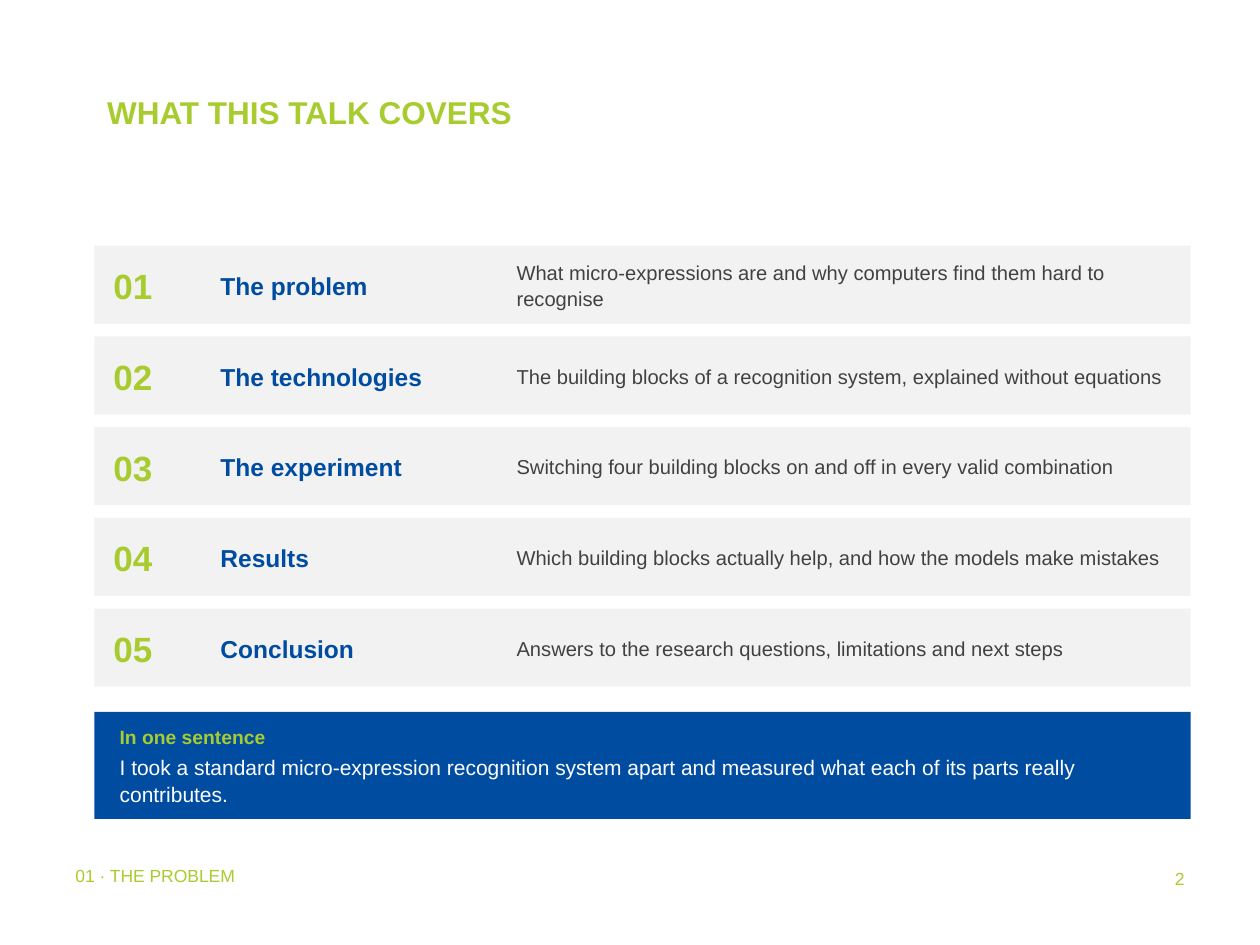
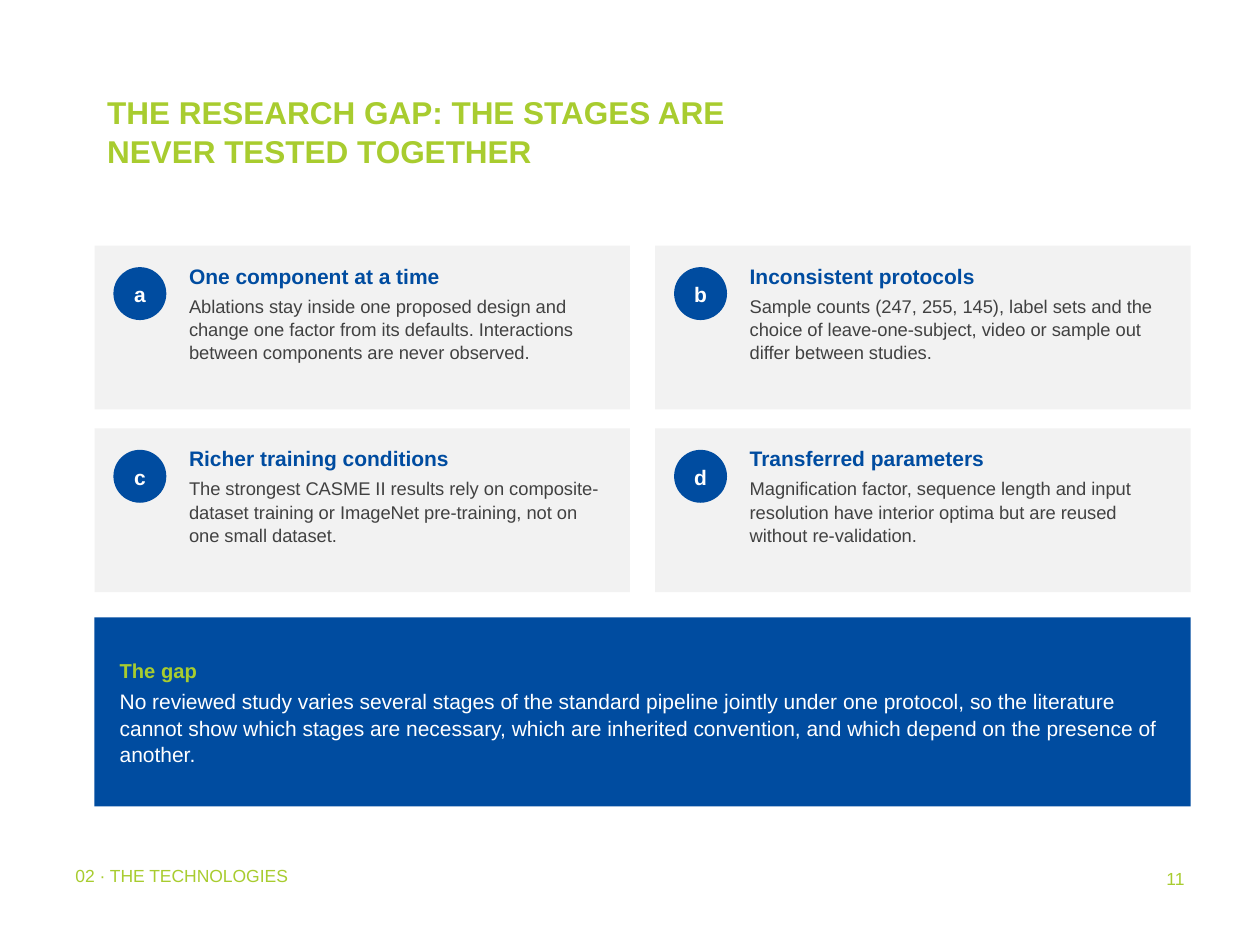
from dataclasses import dataclass

from pptx import Presentation
from pptx.dml.color import RGBColor
from pptx.enum.shapes import MSO_SHAPE as Preset
from pptx.enum.text import MSO_ANCHOR as Anchor, MSO_AUTO_SIZE as AutoSize, PP_ALIGN as Align
from pptx.util import Inches, Pt

COLORS = {
    "green": "A8CC2F",
    "blue": "004CA0",
    "panel": "F2F2F2",
    "body": "414141",
    "white": "FFFFFF",
}
FONT = "Arial"
LINE_SPACING = 1.05
LEFT = 0.75
TOP = 1.95
WIDTH = 8.7


@dataclass(frozen=True)
class Section:
    name: str
    summary: str


@dataclass(frozen=True)
class Card:
    heading: str
    detail: str


@dataclass(frozen=True)
class Callout:
    top: float
    height: float
    label: str
    label_size: float
    message: str


SECTIONS = [
    Section("The problem", "What micro-expressions are and why computers find them hard to recognise"),
    Section("The technologies", "The building blocks of a recognition system, explained without equations"),
    Section("The experiment", "Switching four building blocks on and off in every valid combination"),
    Section("Results", "Which building blocks actually help, and how the models make mistakes"),
    Section("Conclusion", "Answers to the research questions, limitations and next steps"),
]

CARDS = [
    Card(
        "One component at a time",
        "Ablations stay inside one proposed design and change one factor from its defaults. "
        "Interactions between components are never observed.",
    ),
    Card(
        "Inconsistent protocols",
        "Sample counts (247, 255, 145), label sets and the choice of leave-one-subject, "
        "video or sample out differ between studies.",
    ),
    Card(
        "Richer training conditions",
        "The strongest CASME II results rely on composite-dataset training or ImageNet "
        "pre-training, not on one small dataset.",
    ),
    Card(
        "Transferred parameters",
        "Magnification factor, sequence length and input resolution have interior optima "
        "but are reused without re-validation.",
    ),
]

SUMMARY = Callout(
    5.65, 0.85, "In one sentence", 11,
    "I took a standard micro-expression recognition system apart and measured what each "
    "of its parts really contributes.",
)
GAP = Callout(
    4.9, 1.5, "The gap", 11.5,
    "No reviewed study varies several stages of the standard pipeline jointly under one "
    "protocol, so the literature cannot show which stages are necessary, which are "
    "inherited convention, and which depend on the presence of another.",
)


def color(name: str) -> RGBColor:
    return RGBColor.from_string(COLORS[name])


def set_frame(frame, *, inset_x: float, inset_y: float, anchor=Anchor.TOP) -> None:
    frame.auto_size = AutoSize.NONE
    frame.word_wrap = True
    frame.vertical_anchor = anchor
    frame.margin_left = frame.margin_right = Inches(inset_x)
    frame.margin_top = frame.margin_bottom = Inches(inset_y)


def write(para, text: str, *, size: float, fill: str, bold: bool = False,
          align=Align.LEFT, after: float = 0) -> None:
    para.alignment = align
    para.line_spacing = LINE_SPACING
    para.space_before = Pt(0)
    para.space_after = Pt(after)
    span = para.add_run()
    span.text = text
    span.font.name = FONT
    span.font.size = Pt(size)
    span.font.bold = bold
    span.font.color.rgb = color(fill)


def add_box(page, left: float, top: float, width: float, height: float, *,
            inset_x: float = 0.05, inset_y: float = 0.03, anchor=Anchor.TOP):
    box = page.shapes.add_textbox(Inches(left), Inches(top), Inches(width), Inches(height))
    set_frame(box.text_frame, inset_x=inset_x, inset_y=inset_y, anchor=anchor)
    return box.text_frame


def add_filled(page, preset, left: float, top: float, width: float, height: float, fill: str):
    shape = page.shapes.add_shape(preset, Inches(left), Inches(top), Inches(width), Inches(height))
    shape.shadow.inherit = False
    shape.fill.solid()
    shape.fill.fore_color.rgb = color(fill)
    shape.line.fill.background()
    return shape


def add_page(deck, title: str, section: str, number: int):
    page = deck.slides.add_slide(deck.slide_layouts.get_by_name("Title Only"))
    heading = page.shapes.title
    heading.left, heading.top = Inches(LEFT), Inches(0.67)
    heading.width, heading.height = Inches(5.42), Inches(1.25)
    set_frame(heading.text_frame, inset_x=0.1, inset_y=0.05)
    write(heading.text_frame.paragraphs[0], title, size=18, fill="green", bold=True)

    footer = add_box(page, 0.5, 6.83, 5.67, 0.4, inset_x=0.1)
    write(footer.paragraphs[0], section, size=10, fill="green")
    page_number = add_box(page, 7.42, 6.83, 2.08, 0.5, inset_x=0.1, inset_y=0.05)
    write(page_number.paragraphs[0], str(number), size=10, fill="green", align=Align.RIGHT)
    return page


def add_callout(page, callout: Callout) -> None:
    add_filled(page, Preset.RECTANGLE, LEFT, callout.top, WIDTH, callout.height, "blue")
    frame = add_box(page, LEFT + 0.15, callout.top + 0.06, WIDTH - 0.3,
                    callout.height - 0.12, anchor=Anchor.MIDDLE)
    write(frame.paragraphs[0], callout.label, size=callout.label_size,
          fill="green", bold=True, after=3)
    write(frame.add_paragraph(), callout.message, size=12, fill="white", after=3)


def add_section_row(page, index: int, section: Section) -> None:
    height = 0.62
    top = TOP + index * (height + 0.1)
    add_filled(page, Preset.RECTANGLE, LEFT, top, WIDTH, height, "panel")
    columns = [
        (0.85, 0.8, f"{index + 1:02d}", 20, "green", True),
        (1.7, 2.3, section.name, 14, "blue", True),
        (4.05, 5.3, section.summary, 11.5, "body", False),
    ]
    for left, width, text, size, fill, bold in columns:
        frame = add_box(page, left, top, width, height, anchor=Anchor.MIDDLE)
        write(frame.paragraphs[0], text, size=size, fill=fill, bold=bold)


def add_card(page, index: int, card: Card) -> None:
    width, height = 4.25, 1.3
    row, column = divmod(index, 2)
    left = LEFT + column * (width + 0.2)
    top = TOP + row * (height + 0.15)
    add_filled(page, Preset.RECTANGLE, left, top, width, height, "panel")

    badge = add_filled(page, Preset.OVAL, left + 0.15, top + 0.17, 0.42, 0.42, "blue")
    set_frame(badge.text_frame, inset_x=0, inset_y=0, anchor=Anchor.MIDDLE)
    write(badge.text_frame.paragraphs[0], "abcd"[index], size=12, fill="white",
          bold=True, align=Align.CENTER)

    frame = add_box(page, left + 0.7, top + 0.1, 3.45, 1.15)
    write(frame.paragraphs[0], card.heading, size=12, fill="blue", bold=True, after=3)
    write(frame.add_paragraph(), card.detail, size=10.5, fill="body", after=3)


def main() -> None:
    deck = Presentation()
    deck.slide_width, deck.slide_height = Inches(10), Inches(7.5)

    agenda = add_page(deck, "WHAT THIS TALK COVERS", "01 · THE PROBLEM", 2)
    for index, section in enumerate(SECTIONS):
        add_section_row(agenda, index, section)
    add_callout(agenda, SUMMARY)

    research_gap = add_page(deck, "THE RESEARCH GAP: THE STAGES ARE NEVER TESTED TOGETHER",
                            "02 · THE TECHNOLOGIES", 11)
    for index, card in enumerate(CARDS):
        add_card(research_gap, index, card)
    add_callout(research_gap, GAP)

    deck.save("out.pptx")


if __name__ == "__main__":
    main()
